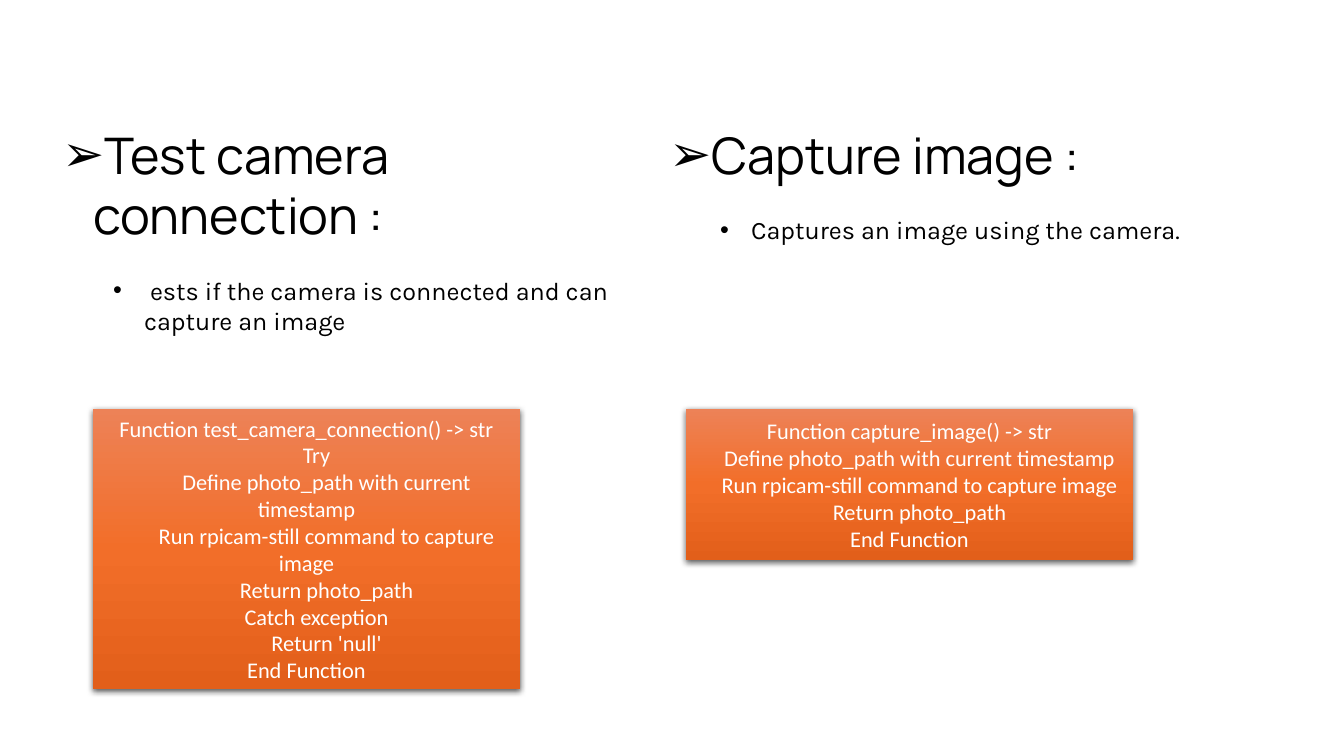
from lxml import etree
from pptx import Presentation
from pptx.dml.color import RGBColor
from pptx.enum.shapes import MSO_SHAPE
from pptx.enum.text import MSO_ANCHOR, MSO_AUTO_SIZE, PP_ALIGN
from pptx.oxml.ns import qn
from pptx.util import Pt

RECT = MSO_SHAPE.RECTANGLE
TOP, MIDDLE = MSO_ANCHOR.TOP, MSO_ANCHOR.MIDDLE
GROW = MSO_AUTO_SIZE.SHAPE_TO_FIT_TEXT
LEFT, CENTER = PP_ALIGN.LEFT, PP_ALIGN.CENTER

# Content: boxes are left, top, width, height in px
PARTS = [
    {
        "head": "Test camera connection :",
        "note": " ests if the camera is connected and can capture an image",
        "list_box": (52, 119, 607, 224),
        "code_box": (93, 409, 427, 280),
        "code": [
            "Function test_camera_connection() -> str",
            "    Try",
            "        Define photo_path with current timestamp",
            "        Run rpicam-still command to capture image",
            "        Return photo_path",
            "    Catch exception",
            "        Return 'null'",
            "End Function",
        ],
    },
    {
        "head": "Capture image :",
        "note": "Captures an image using the camera.",
        "list_box": (659, 119, 548, 132),
        "code_box": (686, 409, 447, 151),
        "code": [
            "Function capture_image() -> str",
            "    Define photo_path with current timestamp",
            "    Run rpicam-still command to capture image",
            "    Return photo_path",
            "End Function",
        ],
    },
]
STOPS = [(0, "ED8257"), (50, "F26E29"), (100, "E25F1A")]
BLACK, WHITE = "000000", "FFFFFF"
PX = 914400 / 100.8
HANG = 31


def emu(px):
    return round(px * PX)


def color(code):
    return RGBColor.from_string(code)


def node(parent, tag, **attrs):
    child = etree.SubElement(parent, qn(tag))
    for key, value in attrs.items():
        child.set(key, str(value))
    return child


def write(para, text, font="Calibri", size=16, tint=BLACK, align=LEFT,
          bullet=None, indent=0, level=0, before=0):
    para.level = level
    if bullet:
        props = para._p.get_or_add_pPr()
        props.set("marL", str(emu(indent)))
        props.set("indent", str(-emu(HANG)))
        node(props, "a:buFont", typeface="Arial")
        node(props, "a:buChar", char=bullet)
    para.alignment = align
    para.space_before, para.space_after = Pt(before), Pt(0)
    para.line_spacing = 1.0
    run = para.add_run()
    run.text = text
    run.font.name, run.font.size = font, Pt(size)
    run.font.bold = False
    run.font.color.rgb = color(tint)


def place(shape, box):
    shape.left, shape.top, shape.width, shape.height = map(emu, box)


def paint(shape):
    """Give a shape the orange gradient and a soft shadow below it."""
    shape.line.fill.background()
    shape.shadow.inherit = False
    props = shape._element.spPr
    grad = etree.Element(qn("a:gradFill"), rotWithShape="1")
    stops = node(grad, "a:gsLst")
    for pos, code in STOPS:
        node(node(stops, "a:gs", pos=pos * 1000), "a:srgbClr", val=code)
    node(grad, "a:lin", ang=5400000, scaled=0)
    props.find(qn("a:ln")).addprevious(grad)
    shade = node(props.find(qn("a:effectLst")), "a:outerShdw", blurRad=Pt(4.5),
                 dist=Pt(1.5), dir=5400000, algn="ctr", rotWithShape=0)
    node(node(shade, "a:srgbClr", val=BLACK), "a:alpha", val=63000)


def add_list(shape, part):
    place(shape, part["list_box"])
    frame = shape.text_frame
    frame.word_wrap, frame.auto_size = True, GROW
    frame.vertical_anchor = TOP
    write(frame.paragraphs[0], part["head"], font="Manrope", size=36,
          bullet="➢", indent=HANG)
    write(frame.add_paragraph(), part["note"], font="Karla", size=18,
          bullet="•", indent=82, level=1, before=21.5)


def add_code(slide, part):
    shape = slide.shapes.add_shape(RECT, *map(emu, part["code_box"]))
    paint(shape)
    frame = shape.text_frame
    frame.word_wrap, frame.vertical_anchor = True, MIDDLE
    for i, line in enumerate(part["code"]):
        para = frame.add_paragraph() if i else frame.paragraphs[0]
        write(para, line, tint=WHITE, align=CENTER)


def main():
    deck = Presentation()
    deck.slide_width, deck.slide_height = emu(1344), emu(756)
    slide = deck.slides.add_slide(deck.slide_layouts[3])

    # The slide has two lists and no title
    title = slide.shapes.title._element
    title.getparent().remove(title)

    # One list and one code panel for each function
    for shape, part in zip(list(slide.placeholders), PARTS):
        add_list(shape, part)
        add_code(slide, part)

    deck.save("out.pptx")


if __name__ == "__main__":
    main()
